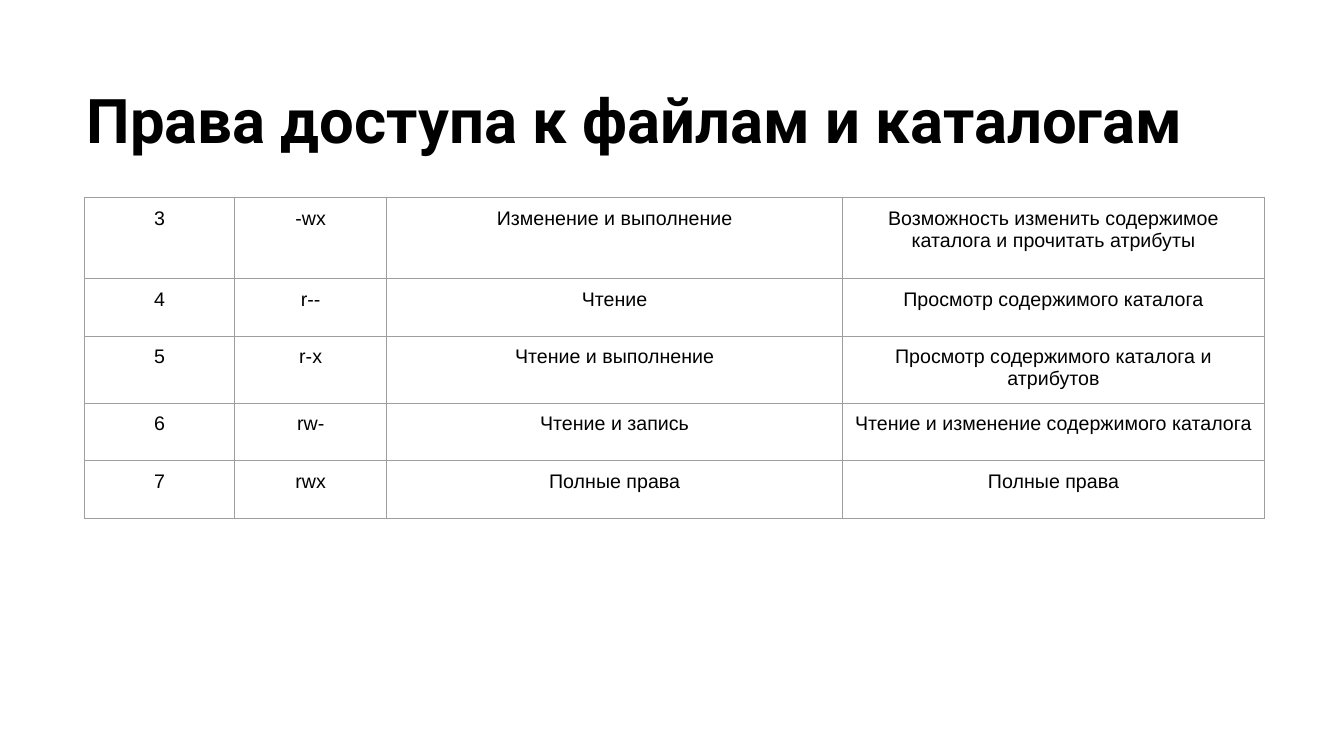
"""Builds a slide with a table of file and directory access rights."""
from lxml.etree import SubElement
from pptx import Presentation
from pptx.dml.color import RGBColor
from pptx.enum.text import MSO_ANCHOR, PP_ALIGN
from pptx.oxml.ns import qn
from pptx.util import Cm, Pt

COLORS = {"text": "000000", "border": "9E9E9E"}
TITLE = "Права доступа к файлам и каталогам"
COLUMN_WIDTHS = [3.78, 3.84, 11.48, 10.64]
ROW_HEIGHTS = [2.04] + [1.45] * 4
RIGHTS = [
    ("3", "-wx", "Изменение и выполнение",
     "Возможность изменить содержимое каталога и прочитать атрибуты"),
    ("4", "r--", "Чтение", "Просмотр содержимого каталога"),
    ("5", "r-x", "Чтение и выполнение", "Просмотр содержимого каталога и атрибутов"),
    ("6", "rw-", "Чтение и запись", "Чтение и изменение содержимого каталога"),
    ("7", "rwx", "Полные права", "Полные права"),
]


def write_text(frame, text, font="Arial", size=14, bold=False, align=PP_ALIGN.LEFT):
    para = frame.paragraphs[0]
    para.alignment = align
    span = para.add_run()
    span.text = text
    span.font.name = font
    span.font.size = Pt(size)
    span.font.bold = bold
    span.font.color.rgb = RGBColor.from_string(COLORS["text"])


def draw_borders(cell, width=0.75):
    properties = cell._tc.get_or_add_tcPr()
    for position, side in enumerate(("a:lnL", "a:lnR", "a:lnT", "a:lnB")):
        line = properties.makeelement(qn(side), {"w": str(Pt(width))})
        properties.insert(position, line)
        fill = SubElement(line, qn("a:solidFill"))
        SubElement(fill, qn("a:srgbClr"), val=COLORS["border"])


def add_title(page, left, top, width, height):
    box = page.shapes.add_textbox(Cm(left), Cm(top), Cm(width), Cm(height))
    frame = box.text_frame
    frame.word_wrap = True
    frame.vertical_anchor = MSO_ANCHOR.TOP
    write_text(frame, TITLE, font="Roboto", size=44, bold=True)


def add_rights_table(page, left, top):
    table = page.shapes.add_table(
        len(RIGHTS), len(COLUMN_WIDTHS), Cm(left), Cm(top),
        Cm(sum(COLUMN_WIDTHS)), Cm(sum(ROW_HEIGHTS))).table
    table.first_row = table.horz_banding = False
    for column, width in zip(table.columns, COLUMN_WIDTHS):
        column.width = Cm(width)
    for row, height, texts in zip(table.rows, ROW_HEIGHTS, RIGHTS):
        row.height = Cm(height)
        for cell, text in zip(row.cells, texts):
            cell.margin_left = cell.margin_right = Cm(0.25)
            cell.margin_top = cell.margin_bottom = Cm(0.25)
            cell.fill.background()
            draw_borders(cell)
            write_text(cell.text_frame, text, align=PP_ALIGN.CENTER)


def main():
    deck = Presentation()
    deck.slide_width, deck.slide_height = Cm(33.87), Cm(19.05)
    page = deck.slides.add_slide(deck.slide_layouts[6])
    add_title(page, 1.93, 1.93, 29.95, 2.84)
    add_rights_table(page, 2.13, 4.98)
    deck.save("out.pptx")


if __name__ == "__main__":
    main()
